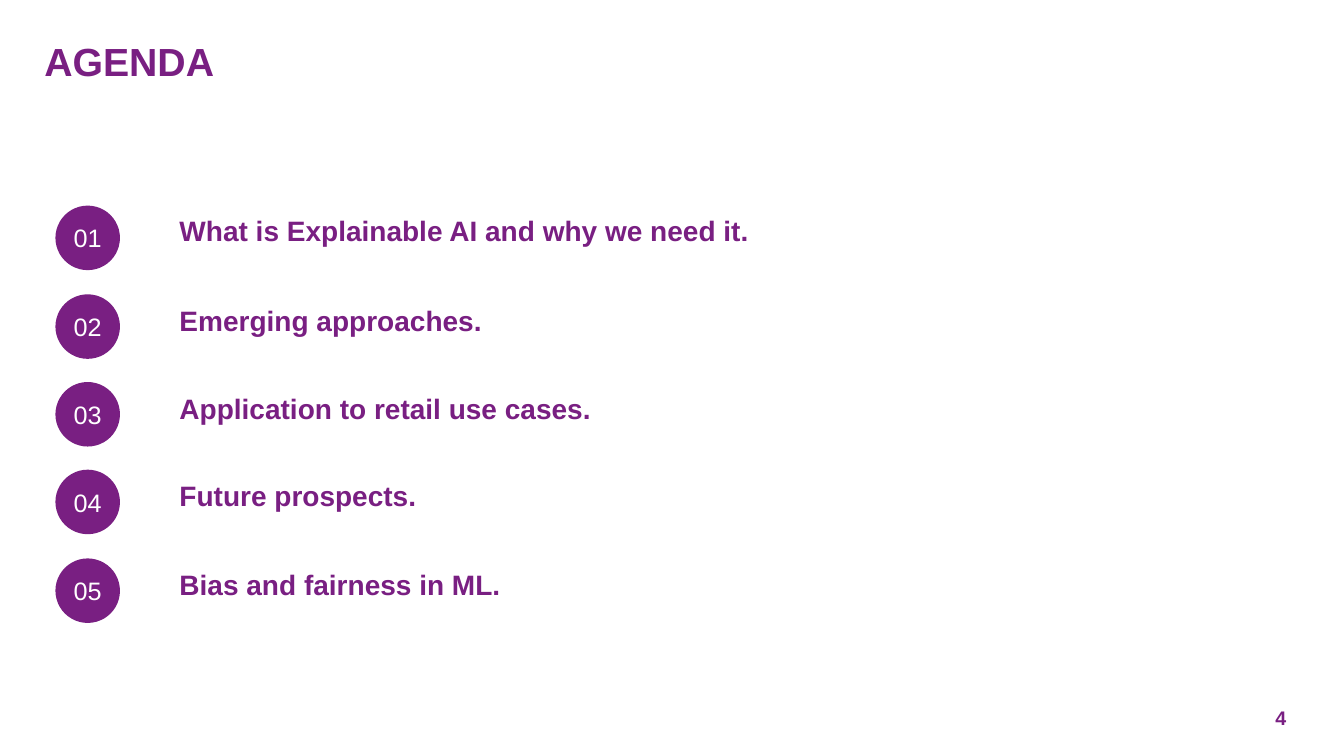
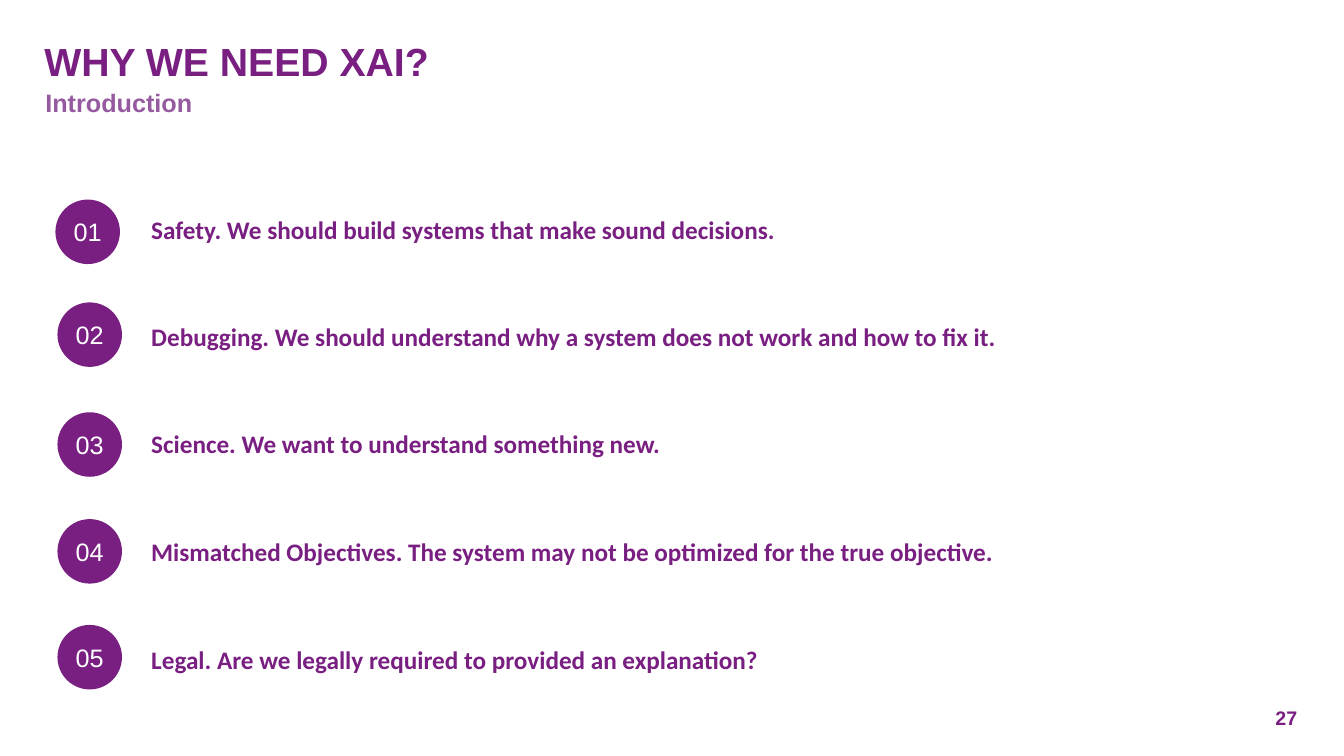
from pptx import Presentation
from pptx.dml.color import RGBColor
from pptx.enum.shapes import MSO_SHAPE
from pptx.enum.text import MSO_ANCHOR as ANCHOR, MSO_AUTO_SIZE, PP_ALIGN as ALIGN
from pptx.util import Pt

PX = 9144  # 100 px to the inch
COLORS = {"purple": "791F82", "lilac": "965AA0", "white": "FFFFFF"}
DISC_SIZE = 64

STYLES = {
    "title": {"size": 28, "bold": True, "color": "purple", "anchor": ANCHOR.BOTTOM},
    "subtitle": {"size": 18, "bold": True, "color": "lilac", "spacing": 1.2},
    "page": {"size": 14, "bold": True, "color": "purple", "anchor": ANCHOR.BOTTOM},
    "disc": {"size": 18, "bold": False, "color": "white",
             "anchor": ANCHOR.MIDDLE, "align": ALIGN.CENTER},
    "topic": {"size": 20, "bold": True, "color": "purple"},
    "reason": {"size": 18, "bold": True, "color": "purple", "font": "Calibri"},
}

# Each item: disc left, disc top, label top, label width, label
SLIDES = [
    {
        "title": "AGENDA", "subtitle": None, "page": "4",
        "style": "topic", "label_left": 178, "label_height": 47,
        "items": [
            (55, 204, 212, 899, "What is Explainable AI and why we need it."),
            (55, 292, 301, 899, "Emerging approaches."),
            (55, 379, 388, 899, "Application to retail use cases."),
            (55, 466, 475, 899, "Future prospects."),
            (55, 554, 563, 899, "Bias and fairness in ML."),
        ],
    },
    {
        "title": "WHY WE NEED XAI?", "subtitle": "Introduction", "page": "27",
        "style": "reason", "label_left": 150, "label_height": 64,
        "items": [
            (55, 198, 213, 780,
             "Safety. We should build systems that make sound decisions."),
            (57, 300, 319, 971,
             "Debugging. We should understand why a system does not work and how to fix it."),
            (57, 409, 425, 881,
             "Science. We want to understand something new."),
            (57, 515, 532, 934,
             "Mismatched Objectives. The system may not be optimized for the true objective."),
            (57, 620, 639, 906,
             "Legal. Are we legally required to provided an explanation?"),
        ],
    },
]


def write(shape, text, style_name):
    """Fill a shape with one paragraph in a named style, without insets."""
    style = STYLES[style_name]
    frame = shape.text_frame
    frame_format = {
        "margin_left": 0, "margin_top": 0, "margin_right": 0, "margin_bottom": 0,
        "word_wrap": True, "auto_size": MSO_AUTO_SIZE.NONE,
        "vertical_anchor": style.get("anchor", ANCHOR.TOP),
    }
    for name, value in frame_format.items():
        setattr(frame, name, value)
    paragraph = frame.paragraphs[0]
    paragraph.alignment = style.get("align", ALIGN.LEFT)
    paragraph.line_spacing = style.get("spacing", 1.0)
    run = paragraph.add_run()
    run.text = text
    run.font.name = style.get("font", "Arial")
    run.font.size = Pt(style["size"])
    run.font.bold = style["bold"]
    run.font.color.rgb = RGBColor.from_string(COLORS[style["color"]])


def add_text(slide, box, text, style_name):
    textbox = slide.shapes.add_textbox(*(length * PX for length in box))
    write(textbox, text, style_name)


deck = Presentation()
deck.slide_width, deck.slide_height = 1333 * PX, 750 * PX
title_only = deck.slide_layouts[5]

for content in SLIDES:
    slide = deck.slides.add_slide(title_only)
    title = slide.shapes.title
    title.left, title.top = 44 * PX, 29 * PX
    title.width, title.height = 1242 * PX, 55 * PX
    write(title, content["title"], "title")
    if content["subtitle"]:
        add_text(slide, (45, 81, 1241, 47), content["subtitle"], "subtitle")
    add_text(slide, (1265, 703, 36, 21), content["page"], "page")

    for number, item in enumerate(content["items"], start=1):
        disc_left, disc_top, label_top, label_width, label = item
        disc = slide.shapes.add_shape(
            MSO_SHAPE.OVAL, disc_left * PX, disc_top * PX, DISC_SIZE * PX, DISC_SIZE * PX)
        disc.shadow.inherit = False
        disc.fill.solid()
        disc.fill.fore_color.rgb = RGBColor.from_string(COLORS["purple"])
        disc.line.fill.background()
        write(disc, f"{number:02}", "disc")
        label_box = (content["label_left"], label_top, label_width, content["label_height"])
        add_text(slide, label_box, label, content["style"])

deck.save("out.pptx")
